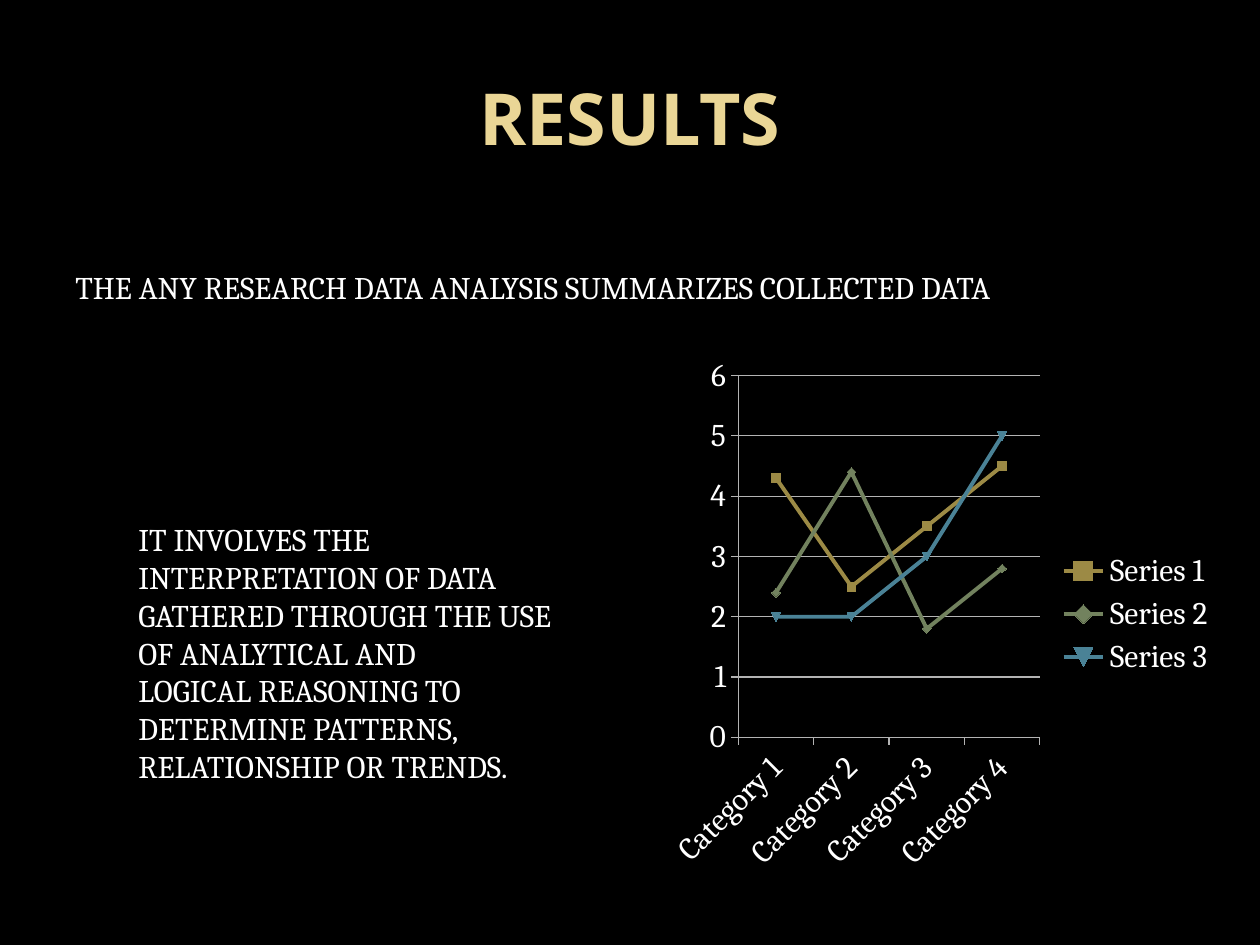
from dataclasses import dataclass

from pptx import Presentation
from pptx.chart.data import CategoryChartData
from pptx.dml.color import RGBColor
from pptx.enum.chart import XL_CHART_TYPE as ChartType, XL_LEGEND_POSITION as LegendPosition
from pptx.enum.text import MSO_ANCHOR as Anchor, PP_ALIGN as Align
from pptx.util import Inches, Pt

BODY_FONT = "Cambria"
WHITE, GOLD, GRID = "FFFFFF", "EAD696", "B3B3B3"


@dataclass
class TextBlock:
    left: float
    top: float
    width: float
    height: float
    lines: list[str]


@dataclass
class LineSeries:
    name: str
    values: list[float]
    color: str


TEXTS = [
    TextBlock(0.5, 2.08, 7.92, 0.71,
              ["THE ANY RESEARCH DATA ANALYSIS SUMMARIZES COLLECTED DATA"]),
    TextBlock(1, 4.08, 3.5, 2.22, [
        "IT INVOLVES THE INTERPRETATION OF DATA",
        "GATHERED THROUGH THE USE OF ANALYTICAL AND",
        "LOGICAL REASONING TO DETERMINE PATTERNS,",
        "RELATIONSHIP OR TRENDS.",
    ]),
]
CATEGORIES = [f"Category {number}" for number in range(1, 5)]
SERIES = [
    LineSeries("Series 1", [4.3, 2.5, 3.5, 4.5], "9C8A45"),
    LineSeries("Series 2", [2.4, 4.4, 1.8, 2.8], "72825E"),
    LineSeries("Series 3", [2, 2, 3, 5], "4A8296"),
]


def rgb(color: str) -> RGBColor:
    return RGBColor.from_string(color)


def style_font(font, name: str, size: float, color: str, bold: bool = False) -> None:
    font.name = name
    font.size = Pt(size)
    font.bold = bold
    font.color.rgb = rgb(color)


def add_title(page, text: str) -> None:
    title = page.shapes.title
    title.left, title.top = Inches(0.5), Inches(0.3)
    title.width, title.height = Inches(9), Inches(1.25)
    title.text_frame.text = text
    title.text_frame.vertical_anchor = Anchor.MIDDLE
    para = title.text_frame.paragraphs[0]
    para.alignment = Align.CENTER
    style_font(para.font, "Open Sans", 41, GOLD, bold=True)


def add_text(page, block: TextBlock) -> None:
    box = page.shapes.add_textbox(Inches(block.left), Inches(block.top),
                                  Inches(block.width), Inches(block.height))
    frame = box.text_frame
    frame.word_wrap = True
    frame.text = "\n".join(block.lines)
    for para in frame.paragraphs:
        style_font(para.font, BODY_FONT, 18, WHITE)


def add_line_chart(page) -> None:
    data = CategoryChartData()
    data.categories = CATEGORIES
    for entry in SERIES:
        data.add_series(entry.name, entry.values)
    chart = page.shapes.add_chart(ChartType.LINE_MARKERS, Inches(5.25), Inches(2.75),
                                  Inches(4.5), Inches(4.25), data).chart
    style_font(chart.font, BODY_FONT, 18, WHITE)
    chart.has_title = False
    chart.has_legend = True
    chart.legend.position = LegendPosition.RIGHT
    chart.legend.include_in_layout = False

    # Axes and gridlines
    chart.value_axis.has_major_gridlines = True
    for part in (chart.category_axis, chart.value_axis, chart.value_axis.major_gridlines):
        part.format.line.color.rgb = rgb(GRID)
        part.format.line.width = Pt(0.75)

    # Series lines and markers
    plot = chart.plots[0]
    plot.vary_by_categories = False
    for series, entry in zip(plot.series, SERIES):
        series.smooth = False
        series.format.line.color.rgb = rgb(entry.color)
        series.format.line.width = Pt(2.25)
        series.marker.size = 5
        series.marker.format.fill.solid()
        series.marker.format.fill.fore_color.rgb = rgb(entry.color)
        series.marker.format.line.color.rgb = rgb(entry.color)


def main() -> None:
    deck = Presentation()
    deck.slide_width, deck.slide_height = Inches(10), Inches(7.5)
    page = deck.slides.add_slide(deck.slide_layouts.get_by_name("Title Only"))
    page.background.fill.solid()
    page.background.fill.fore_color.rgb = rgb("000000")

    add_title(page, "RESULTS")
    for block in TEXTS:
        add_text(page, block)
    add_line_chart(page)
    deck.save("out.pptx")


if __name__ == "__main__":
    main()
